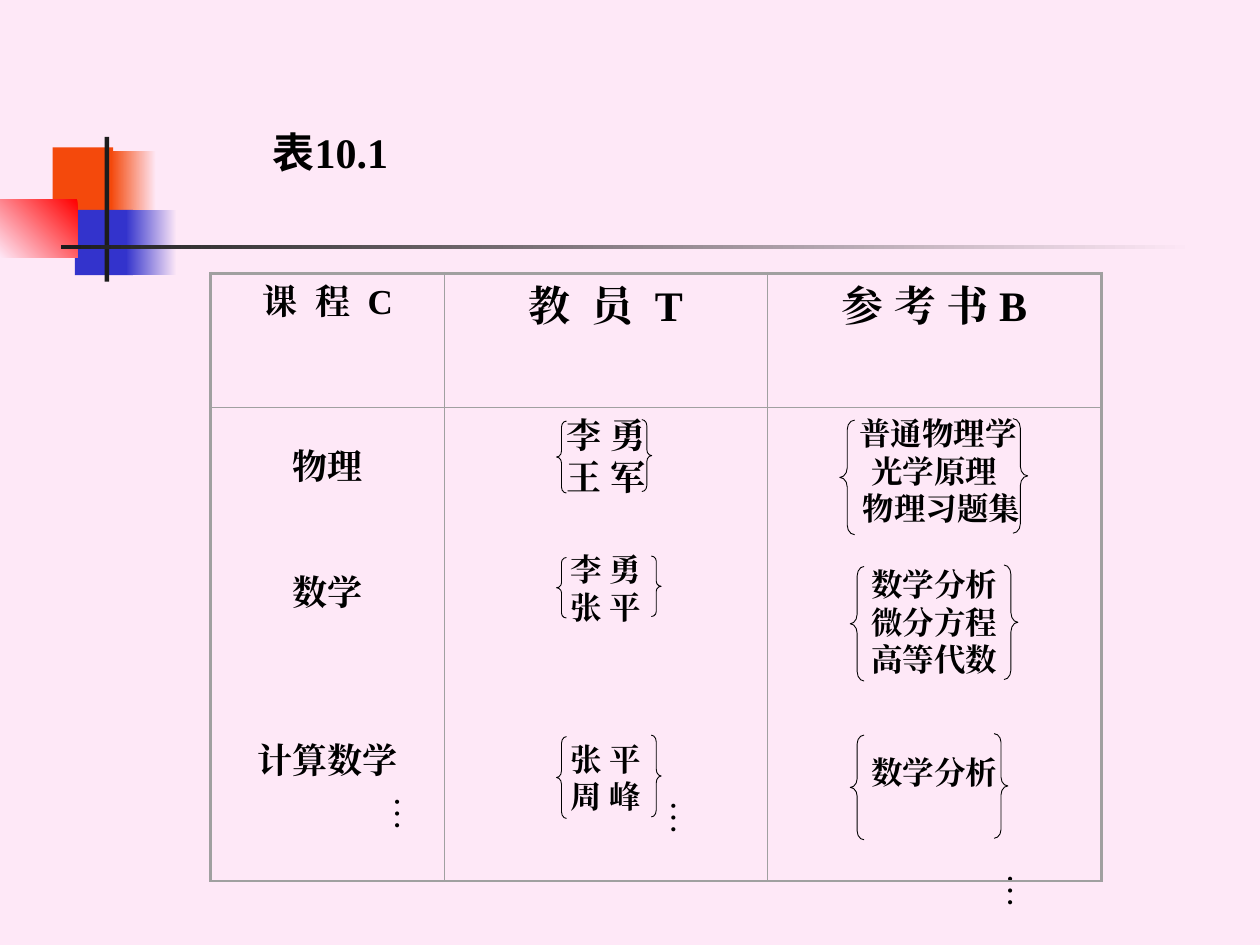
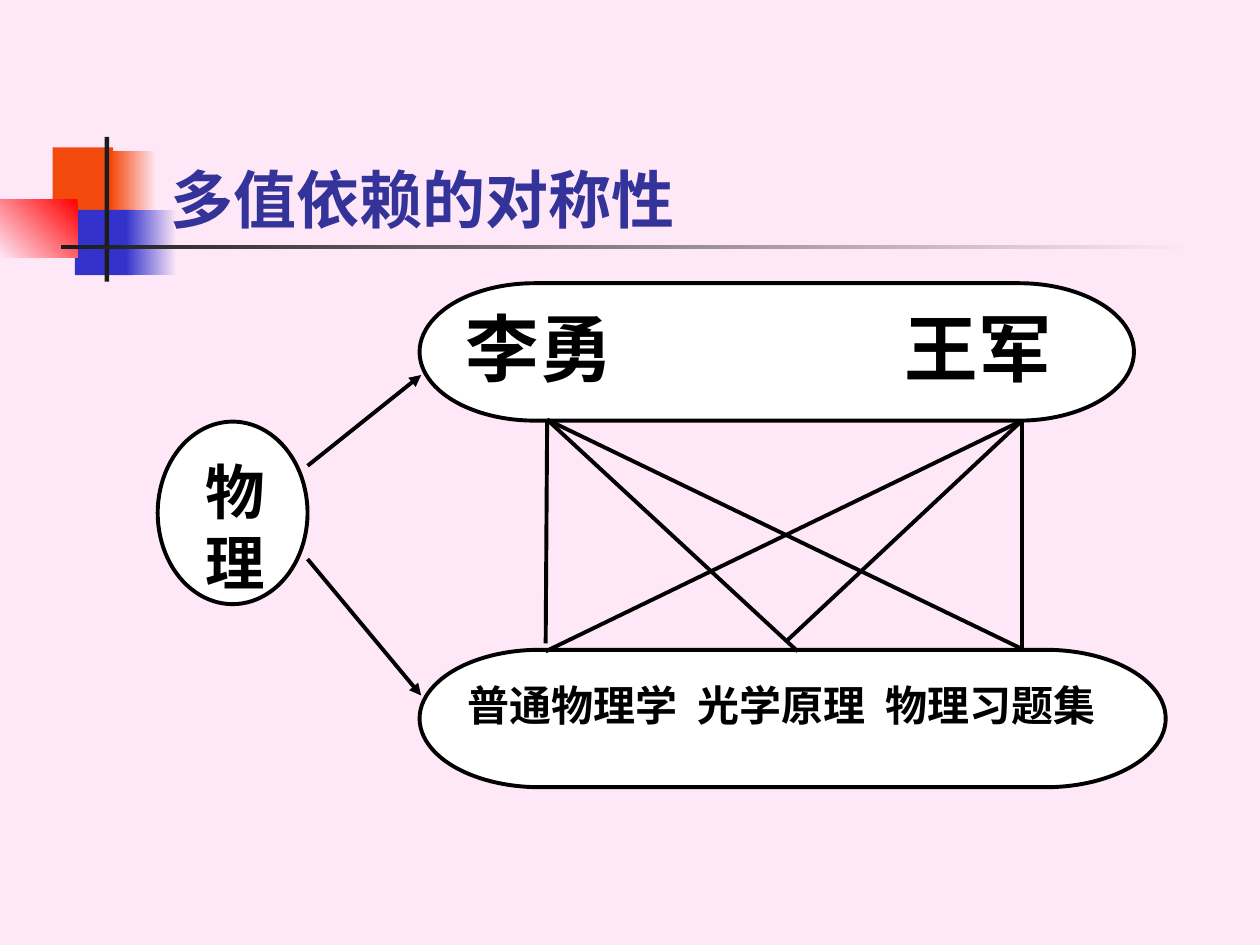
from dataclasses import dataclass

from lxml import etree
from pptx import Presentation
from pptx.dml.color import RGBColor
from pptx.enum.shapes import MSO_CONNECTOR, MSO_SHAPE
from pptx.enum.text import MSO_ANCHOR, MSO_AUTO_SIZE, PP_ALIGN
from pptx.oxml.ns import qn
from pptx.util import Cm, Pt

RECT, OVAL, PILL = MSO_SHAPE.RECTANGLE, MSO_SHAPE.OVAL, MSO_SHAPE.FLOWCHART_TERMINATOR
BRACES = MSO_SHAPE.LEFT_BRACE, MSO_SHAPE.RIGHT_BRACE
STRAIGHT = MSO_CONNECTOR.STRAIGHT
LEFT, MID = PP_ALIGN.LEFT, PP_ALIGN.CENTER
TOP, CENTRE, BASE = MSO_ANCHOR.TOP, MSO_ANCHOR.MIDDLE, MSO_ANCHOR.BOTTOM
FIXED = MSO_AUTO_SIZE.NONE


@dataclass(frozen=True)
class Theme:
    """Colours, fonts and sizes shared by the slides."""

    paper: str = "FEE8F7"
    ink: str = "000000"
    dark: str = "1C1C1C"
    white: str = "FFFFFF"
    grid: str = "A0A0A0"
    orange: str = "F4490C"
    blue: str = "3333CC"
    red: str = "FF0000"
    head: str = "333399"
    serif: str = "Times New Roman"
    sans: str = "Lato"
    title: int = 36
    name: int = 42
    topic: int = 34
    large: int = 24
    base: int = 20
    small: int = 18
    lead: float = 1.2
    rule: float = 2.25
    edge: float = 1.75
    hair: float = 0.5


T = Theme()


def rgb(code):
    """Turn a hex code into a colour."""
    return RGBColor.from_string(code)


def apply(item, **values):
    """Set each given value on an item."""
    for key, value in values.items():
        setattr(item, key, value)


def pad(frame, left, top, right, base):
    """Set the four insets of a text frame or cell."""
    sides = ("left", "top", "right", "bottom")
    apply(frame, **{f"margin_{k}": Cm(v) for k, v in zip(sides, (left, top, right, base))})


def write(para, text, size, align=LEFT, before=0, indent=0, gap=0, tight=False,
          bold=True, face=T.serif, ink=T.ink):
    """Write a paragraph whose spaces are widened by a gap in points."""
    apply(para, alignment=align, space_before=Pt(before))
    if tight:
        para.line_spacing = Pt(size * T.lead)
    props = para._p.get_or_add_pPr()
    props.set("marL", str(Pt(indent)))
    props.set("indent", "0")
    parts = text.replace(" ", "| |").split("|") if gap else [text]
    for part in parts:
        run = para.add_run()
        run.text = part
        apply(run.font, name=face, size=Pt(size), bold=bold)
        run.font.color.rgb = rgb(ink)
        look = run._r.get_or_add_rPr()
        if part == " ":
            look.set("spc", str(round(gap * 100)))
        if tight:
            etree.SubElement(look, qn("a:ea"), typeface=face)


def fill(frame, lines):
    """Write a list of paragraph formats into a frame."""
    for row, line in enumerate(lines):
        write(frame.add_paragraph() if row else frame.paragraphs[0], **line)


def shape(slide, kind, box, tint=None, line=None, width=T.rule):
    """Add a flat shape, with its fill and line if given."""
    item = slide.shapes.add_shape(kind, *map(Cm, box))
    item.shadow.inherit = False
    if tint:
        item.fill.solid()
        item.fill.fore_color.rgb = rgb(tint)
    else:
        item.fill.background()
    if line:
        item.line.color.rgb = rgb(line)
        item.line.width = Pt(width)
    else:
        item.line.fill.background()
    return item


def link(slide, start, end, arrow=False):
    """Join two points with a line or an arrow."""
    item = slide.shapes.add_connector(STRAIGHT, *map(Cm, (*start, *end)))
    item.line.color.rgb = rgb(T.ink)
    item.line.width = Pt(T.rule)
    props = item.element.find(qn("p:spPr"))
    if arrow:
        etree.SubElement(props.find(qn("a:ln")), qn("a:tailEnd"), type="triangle")
    etree.SubElement(props, qn("a:effectLst"))


def title(slide, box, text, size, align, anchor, **look):
    """Place and format the title placeholder."""
    item = slide.shapes.title
    apply(item, **dict(zip(("left", "top", "width", "height"), map(Cm, box))))
    frame = item.text_frame
    apply(frame, vertical_anchor=anchor, word_wrap=True, auto_size=FIXED)
    pad(frame, 0.25, 0.13, 0.25, 0.13)
    write(frame.paragraphs[0], text, size, align, **look)


def motif(slide, layout):
    """Draw the corner squares and rule, and move them to the layout."""
    blocks = (
        ((1.06, 2.97, 1.22, 1.32), T.orange, None, 0),
        ((2.24, 3.05, 0.91, 1.32), T.paper, T.orange, 180),
        ((1.51, 4.23, 1.17, 1.32), T.blue, None, 0),
        ((2.54, 4.23, 1.02, 1.32), T.paper, T.blue, 180),
        ((0, 4.02, 1.56, 1.18), T.red, T.paper, 225),
        ((2.11, 2.76, 0.09, 2.92), T.dark, None, 0),
        ((1.23, 4.94, 22.86, 0.09), T.paper, T.dark, 180),
    )
    items = []
    for box, first, last, angle in blocks:
        item = shape(slide, RECT, box, first)
        if last:
            item.fill.gradient()
            item.fill.gradient_angle = angle
            for stop, tint in zip(item.fill.gradient_stops, (first, last)):
                stop.color.rgb = rgb(tint)
        items.append(item)
    for item in items:
        layout.shapes.element.append(item.element)


def border(cell, row, col, rows, cols):
    """Draw thick outer and thin inner edges on a cell."""
    outer = {"L": col == 0, "R": col == cols - 1, "T": row == 0, "B": row == rows - 1}
    props = cell._tc.get_or_add_tcPr()
    for side, thick in outer.items():
        line = etree.SubElement(props, qn(f"a:ln{side}"), w=str(Pt(T.edge if thick else T.hair)))
        paint = etree.SubElement(line, qn("a:solidFill"))
        etree.SubElement(paint, qn("a:srgbClr"), val=T.grid)
    cell.fill.background()


def lines(size, *rows):
    """Build centred paragraph formats from text, space before and indent."""
    return [dict(text=text, size=size, align=MID, before=before, indent=indent, tight=True)
            for text, before, indent in rows]


def grid(slide, box):
    """Draw the course table inside a box."""
    heads = (("课 程 C", T.base, 5), ("教 员 T", T.large, 6), ("参 考 书 B", T.large, 0))
    courses = lines(T.base, ("物理", 0, 0), ("数学", 48, 0), ("计算数学", 72, 0))
    staff = lines(T.base, ("李 勇", 0, 0), ("王 军", 0, 0)) + lines(
        T.small, ("李 勇", 30, 0), ("张 平", 0, 0), ("张 平", 65, 0), ("周 峰", 0, 0))
    books = lines(
        T.small, ("普通物理学", 0, 4), ("光学原理", 0, 0), ("物理习题集", 0, 8),
        ("数学分析", 21.5, 0), ("微分方程", 0, 0), ("高等代数", 0, 0), ("数学分析", 43, 0))
    top = [[dict(text=text, size=size, align=MID, gap=gap, tight=True)]
           for text, size, gap in heads]
    body = (courses, staff, books)
    table = slide.shapes.add_table(2, 3, *map(Cm, box)).table
    apply(table, first_row=False, horz_banding=False)
    for col, width in zip(table.columns, (4.71, 6.5, 6.75)):
        col.width = Cm(width)
    for row, height in zip(table.rows, (2.71, 9.54)):
        row.height = Cm(height)
    for row, cells in enumerate((top, body)):
        for col, text in enumerate(cells):
            cell = table.cell(row, col)
            pad(cell, 0.25, 0.75 if text is courses else 0.13, 0.25, 0.13)
            border(cell, row, col, 2, 3)
            fill(cell.text_frame, text)


def braces(slide, box):
    """Enclose each group of names in a pair of braces."""
    left, top = box[:2]
    pairs = (
        (6.97, 8.69, 2.98, 0.2, 1.45),
        (6.97, 8.88, 5.73, 0.2, 1.22),
        (6.97, 8.88, 9.34, 0.2, 1.65),
        (12.68, 16.17, 2.96, 0.3, 2.31),
        (12.89, 15.99, 5.91, 0.28, 2.31),
        (12.89, 15.79, 9.31, 0.28, 2.11),
    )
    for first, last, y, wide, high in pairs:
        for kind, x, lift in zip(BRACES, (first, last), (0, 0.03)):
            area = (left + x, top + y - lift, wide, high)
            item = shape(slide, kind, area, line=T.ink, width=T.hair)
            item.adjustments[0] = high / 12 / wide


def dots(slide, box):
    """Add the upright ellipses under the columns."""
    left, top = box[:2]
    spots = ((2.53, 10.3, 2.03, 1.55), (8.66, 10.38, 1.47, 1.27), (15.22, 11.85, 1.7, 1.07))
    for x, y, wide, high in spots:
        item = slide.shapes.add_textbox(*map(Cm, (left + x, top + y, wide, high)))
        item.text_frame.word_wrap = True
        pad(item.text_frame, 0.13, 0.25, 0.13, 0.25)
        item.element.txBody.bodyPr.set("vert", "eaVert")
        write(item.text_frame.paragraphs[0], "…", T.base, bold=False)


def graph(slide, box):
    """Draw the topic, its two sets and the links between them."""
    left, top = box[:2]

    def spot(x, y):
        """Move a point into the box."""
        return left + x, top + y

    topic = [dict(text=sign, size=T.topic, indent=7.5) for sign in "物理"]
    books = [dict(text="普通物理学 光学原理 物理习题集", size=T.large, gap=6)]
    names = [dict(text="李勇 王军", size=T.name, gap=157.5)]
    nodes = (
        (OVAL, (0, 2.79), (3.02, 3.68), 0.13, topic),
        (PILL, (5.28, 7.39), (15.04, 2.77), 0.2, books),
        (PILL, (5.28, 0), (14.4, 2.77), 0, names),
    )
    for kind, at, size, inset, text in nodes:
        frame = shape(slide, kind, (*spot(*at), *size), T.white, T.ink).text_frame
        apply(frame, vertical_anchor=TOP, word_wrap=True)
        pad(frame, 0.25, inset, 0.25, 0.13)
        fill(frame, text)
    for start, end in (((3.02, 3.68), (5.31, 1.85)), ((3.02, 5.56), (5.31, 8.31))):
        link(slide, spot(*start), spot(*end), True)
    fans = {
        (7.85, 2.75): ((7.82, 7.26), (12.9, 7.42), (17.42, 7.37)),
        (17.42, 2.77): ((17.42, 7.37), (12.7, 7.19), (7.82, 7.42)),
    }
    for start, ends in fans.items():
        for end in ends:
            link(slide, spot(*start), spot(*end))


def main():
    """Build and save the two slides."""
    deck = Presentation()
    apply(deck, slide_width=Cm(25.4), slide_height=Cm(19.05))
    back = deck.slide_master.background.fill
    back.solid()
    back.fore_color.rgb = rgb(T.paper)
    layout = deck.slide_layouts[5]
    for item in list(layout.placeholders)[1:]:
        layout.shapes.element.remove(item.element)

    first = deck.slides.add_slide(layout)
    motif(first, layout)
    title(first, (4.86, 2.11, 3.6, 1.9), "表10.1", T.large, MID, CENTRE)
    area = (4.25, 5.51, 17.96, 12.25)
    dots(first, area)
    grid(first, area)
    braces(first, area)

    second = deck.slides.add_slide(layout)
    title(second, (3.19, 1.71, 21.64, 3.18), "多值依赖的对称性", T.title, LEFT, BASE,
          face=T.sans, ink=T.head)
    graph(second, (3.18, 5.71, 20.32, 10.16))
    deck.save("out.pptx")


if __name__ == "__main__":
    main()
